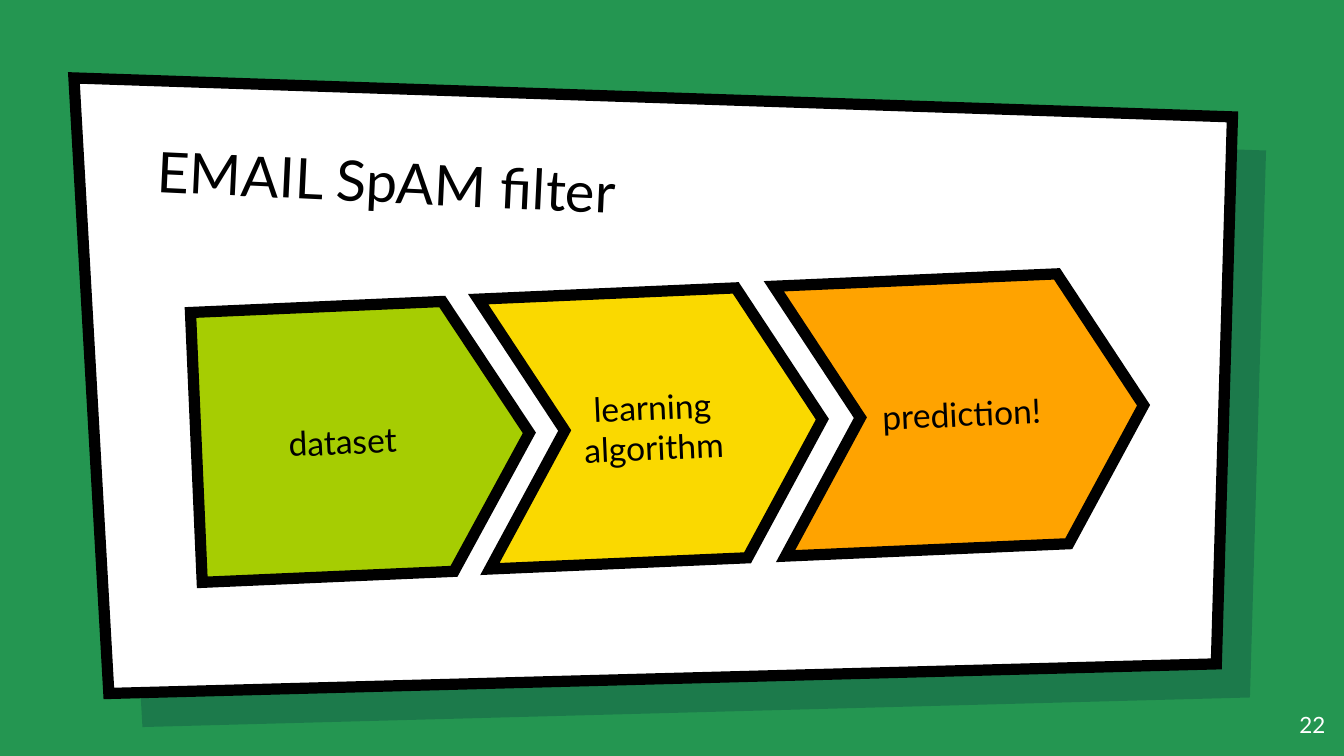
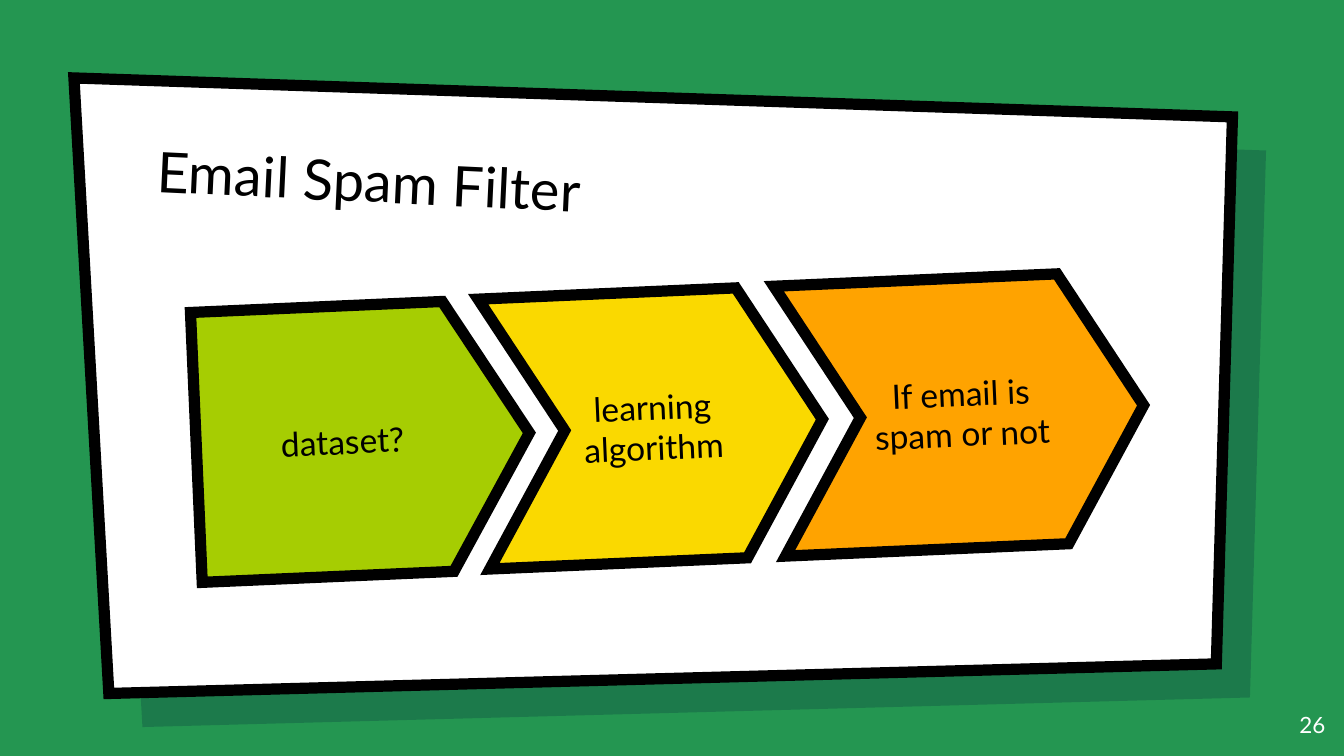
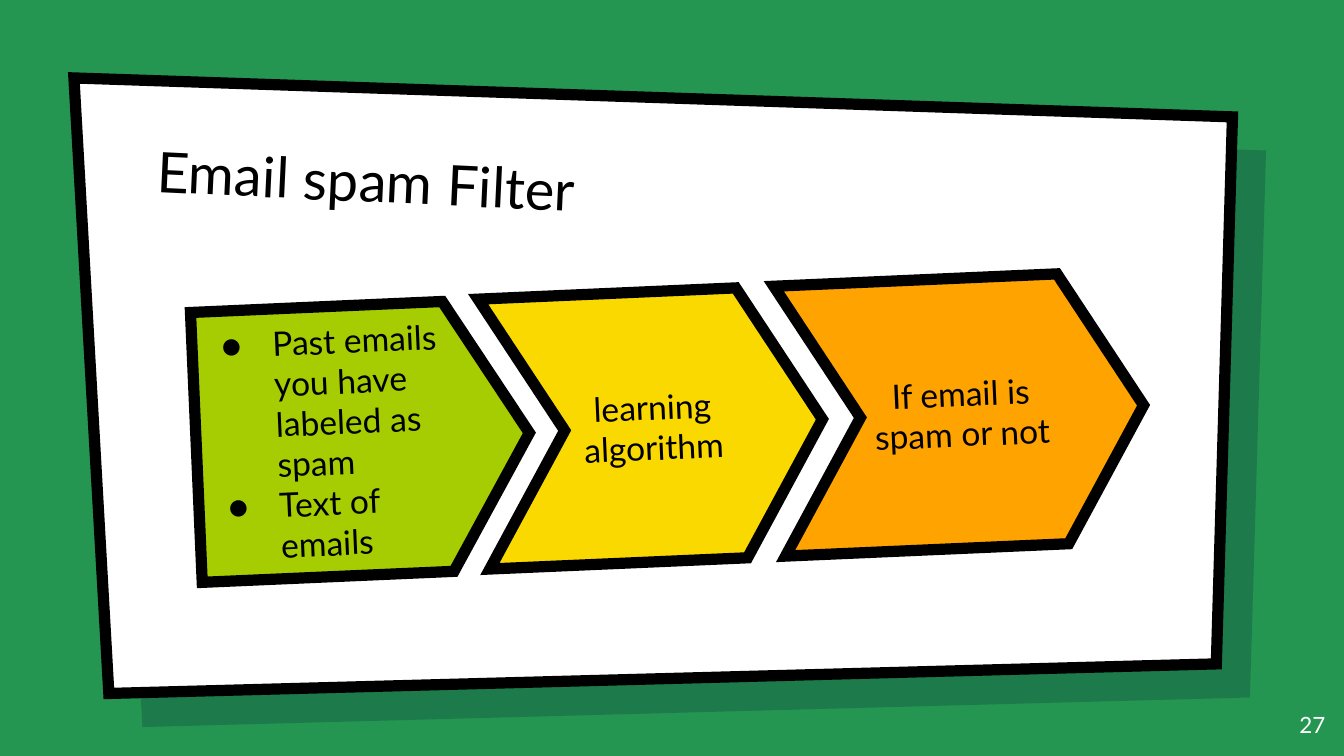
from dataclasses import dataclass

from lxml import etree
from pptx import Presentation
from pptx import util as u
from pptx.dml import color
from pptx.enum import shapes, text
from pptx.oxml import ns

PX = 4572


@dataclass(frozen=True)
class Theme:
    font: str = "Lato"
    back: str = "249651"
    shade: str = "001936"
    shade_alpha: int = 22
    ink: str = "000000"
    paper: str = "FFFFFF"
    data: str = "A6CD02"
    learn: str = "FAD900"
    result: str = "FFA300"
    title_size: int = 30
    body_size: int = 18
    number_size: int = 12
    border: int = 6
    inset: int = 20


THEME = Theme()
PANEL = [(110, 116), (1834, 174), (1810, 988), (162, 1032)]
SHADE_OFFSET = 50
TITLE_BOX = (214, 192, 1538, 166)
TITLE_TILT = 2.7
NUMBER_BOX = (1872, 1038, 120, 86)
STAGE_TOP, STAGE_STEP, STAGE_HEIGHT, STAGE_TILT = 454, 20, 402, 357.5
HOME, CHEVRON = shapes.MSO_SHAPE.PENTAGON, shapes.MSO_SHAPE.CHEVRON
STAGES = [
    (HOME, 292, 496, 0.301, THEME.data),
    (CHEVRON, 720, 504, 0.299, THEME.learn),
    (CHEVRON, 1160, 542, 0.299, THEME.result),
]
PAGES = [
    ("EMAIL SpAM filter", "22",
     [["dataset"], ["learning algorithm"], ["prediction!"]], False),
    ("Email Spam Filter", "26",
     [["dataset?"], ["learning algorithm"], ["If email is spam or not"]], False),
    ("Email spam Filter", "27",
     [["Past emails you have labeled as spam", "Text of emails"],
      ["learning algorithm"], ["If email is spam or not"]], True),
]


def px(*lengths):
    return [u.Emu(length * PX) for length in lengths]


def rgb(value):
    return color.RGBColor.from_string(value)


def add_child(parent, tag, **attributes):
    return etree.SubElement(parent, ns.qn(tag), attributes)


def add_bullet(para):
    properties = para._p.get_or_add_pPr()
    properties.set("marL", str(100 * PX))
    properties.set("indent", str(-76 * PX))
    add_child(add_child(properties, "a:buClr"), "a:srgbClr", val=THEME.ink)
    add_child(properties, "a:buFont", typeface=THEME.font)
    add_child(properties, "a:buChar", char="●")


def write(box, lines, size=THEME.body_size, ink=THEME.ink,
          align=text.PP_ALIGN.LEFT, anchor=text.MSO_ANCHOR.TOP, bullets=False):
    frame = box.text_frame
    frame.word_wrap = True
    frame.auto_size = text.MSO_AUTO_SIZE.NONE
    frame.vertical_anchor = anchor
    for side in ("left", "top", "right", "bottom"):
        setattr(frame, f"margin_{side}", u.Emu(THEME.inset * PX))
    for index, line in enumerate(lines):
        para = frame.add_paragraph() if index else frame.paragraphs[0]
        para.alignment = align
        if bullets:
            add_bullet(para)
        span = para.add_run()
        span.text = line
        span.font.name = THEME.font
        span.font.size = u.Pt(size)
        span.font.color.rgb = rgb(ink)


def paint(shape, fill, outlined=True):
    shape.shadow.inherit = False
    shape.fill.solid()
    shape.fill.fore_color.rgb = rgb(fill)
    if outlined:
        shape.line.color.rgb = rgb(THEME.ink)
        shape.line.width = u.Pt(THEME.border)
        add_child(shape.line._get_or_add_ln(), "a:miter", lim="800000")
    else:
        shape.line.fill.background()


def add_outline(page, points, fill, outlined=True):
    builder = page.shapes.build_freeform(*points[0], scale=PX)
    builder.add_line_segments(points[1:], close=True)
    outline = builder.convert_to_shape()
    paint(outline, fill, outlined)
    return outline


def add_panel(page):
    shaded = [(x + SHADE_OFFSET, y + SHADE_OFFSET) for x, y in PANEL]
    shade = add_outline(page, shaded, THEME.shade, outlined=False)
    tint = shade.fill._xPr.find(ns.qn("a:solidFill"))[0]
    add_child(tint, "a:alpha", val=str(THEME.shade_alpha * 1000))
    add_outline(page, PANEL, THEME.paper)


def place_title(page, wording):
    title = page.shapes.title
    page.shapes._spTree.append(title._element)
    title.left, title.top, title.width, title.height = px(*TITLE_BOX)
    title.rotation = TITLE_TILT
    write(title, [wording], size=THEME.title_size, anchor=text.MSO_ANCHOR.BOTTOM)


def add_stage(page, index, lines, bullets):
    preset, left, width, point, fill = STAGES[index]
    top = STAGE_TOP - index * STAGE_STEP
    stage = page.shapes.add_shape(preset, *px(left, top, width, STAGE_HEIGHT))
    stage.adjustments[0] = point
    stage.rotation = STAGE_TILT
    paint(stage, fill)
    align = text.PP_ALIGN.LEFT if bullets else text.PP_ALIGN.CENTER
    write(stage, lines, align=align, anchor=text.MSO_ANCHOR.MIDDLE, bullets=bullets)


def add_number(page, number):
    box = page.shapes.add_textbox(*px(*NUMBER_BOX))
    write(box, [number], size=THEME.number_size, ink=THEME.paper,
          align=text.PP_ALIGN.RIGHT)


def add_page(deck, title, number, stages, listed):
    page = deck.slides.add_slide(deck.slide_layouts[5])
    page.background.fill.solid()
    page.background.fill.fore_color.rgb = rgb(THEME.back)
    add_panel(page)
    place_title(page, title)
    for index, lines in enumerate(stages):
        add_stage(page, index, lines, bullets=listed and index == 0)
    add_number(page, number)


def main():
    deck = Presentation()
    deck.slide_width, deck.slide_height = px(2000, 1125)
    for content in PAGES:
        add_page(deck, *content)
    deck.save("out.pptx")


if __name__ == "__main__":
    main()
